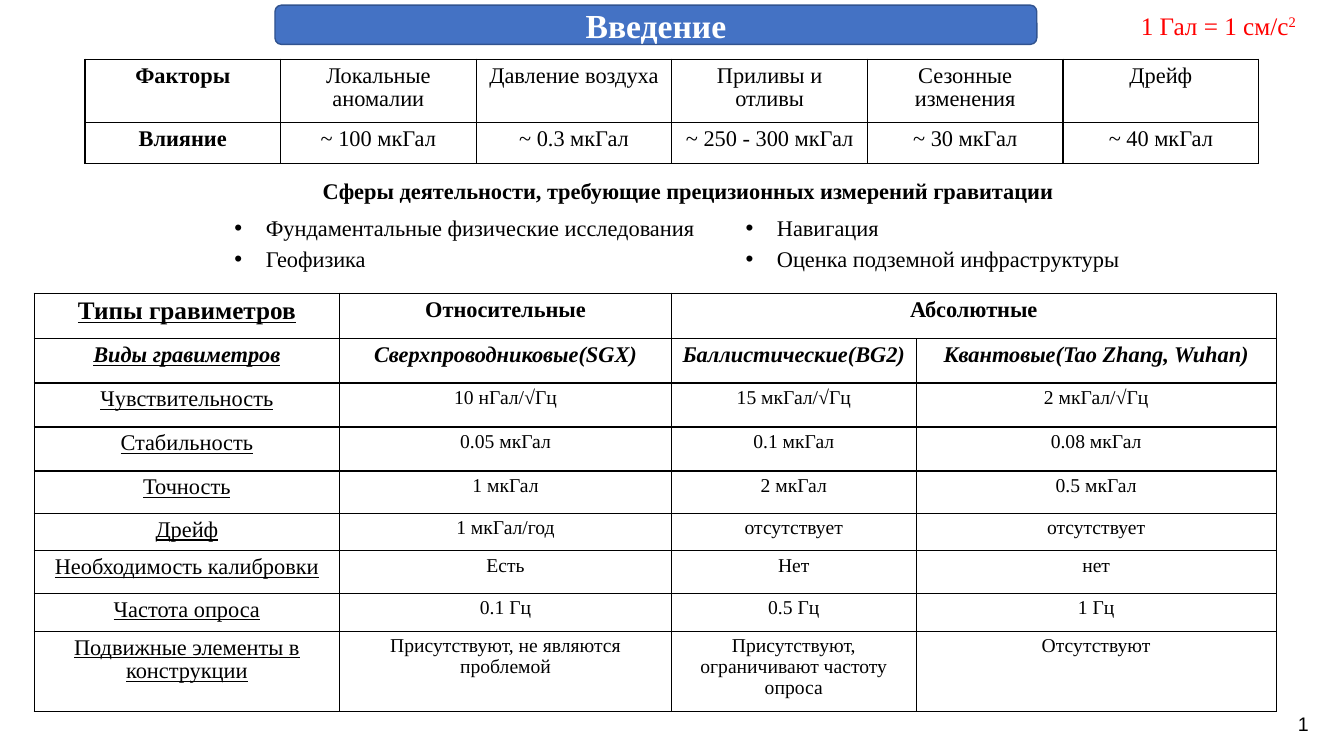
from dataclasses import dataclass

from lxml import etree
from pptx import Presentation
from pptx.dml.color import RGBColor
from pptx.enum.shapes import MSO_SHAPE
from pptx.enum.text import MSO_ANCHOR, PP_ALIGN
from pptx.oxml.ns import qn
from pptx.util import Cm, Pt

ROUND = MSO_SHAPE.ROUNDED_RECTANGLE
MIDDLE = MSO_ANCHOR.MIDDLE
LEFT, CENTER = PP_ALIGN.LEFT, PP_ALIGN.CENTER
SERIF, SANS = "Times New Roman", "Arial"
COLORS = {"ink": "000000", "paper": "FFFFFF", "blue": "4472C4",
          "edge": "31538F", "red": "FF0000"}


@dataclass
class Box:
    left: float
    top: float
    width: float
    height: float

    def place(self) -> tuple:
        return Cm(self.left), Cm(self.top), Cm(self.width), Cm(self.height)


@dataclass
class Style:
    size: int
    bold: bool = False
    italic: bool = False
    under: bool = False
    color: str = "ink"
    face: str = SERIF


@dataclass
class Note:
    box: Box
    lines: list[str]
    style: Style
    align: int = LEFT
    bullet: bool = False
    wrap: bool = True


@dataclass
class Grid:
    box: Box
    cols: list[float]
    rows: list[float]
    cells: list[list[str]]


def shade(name: str) -> RGBColor:
    return RGBColor.from_string(COLORS[name])


def format_run(run, style: Style) -> None:
    font = run.font
    font.name, font.size = style.face, Pt(style.size)
    font.bold, font.italic, font.underline = style.bold, style.italic, style.under
    font.color.rgb = shade(style.color)


def write(par, text: str, style: Style, align: int = LEFT) -> None:
    par.text = text
    par.alignment = align
    for run in par.runs:
        format_run(run, style)


def add_bullet(par) -> None:
    props = par._p.get_or_add_pPr()
    props.set("marL", str(Cm(0.79)))
    props.set("indent", str(-Cm(0.79)))
    etree.SubElement(props, qn("a:buFont")).set("typeface", SANS)
    etree.SubElement(props, qn("a:buChar")).set("char", "•")


def add_note(slide, note: Note):
    frame = slide.shapes.add_textbox(*note.box.place()).text_frame
    frame.word_wrap = note.wrap
    for i, line in enumerate(note.lines):
        par = frame.add_paragraph() if i else frame.paragraphs[0]
        if note.bullet:
            add_bullet(par)
        if i:
            par.space_before = Pt(3)
        write(par, line, note.style, note.align)
    return frame


def add_border(cell) -> None:
    props = cell._tc.get_or_add_tcPr()
    for side in ("L", "R", "T", "B"):
        line = etree.SubElement(props, qn(f"a:ln{side}"), w=str(Pt(1)))
        fill = etree.SubElement(line, qn("a:solidFill"))
        etree.SubElement(fill, qn("a:srgbClr"), val=COLORS["ink"])


def add_grid(slide, grid: Grid, pick):
    table = slide.shapes.add_table(len(grid.rows), len(grid.cols),
                                   *grid.box.place()).table
    table.first_row = table.horz_banding = False
    for col, width in zip(table.columns, grid.cols):
        col.width = Cm(width)
    for row, height in zip(table.rows, grid.rows):
        row.height = Cm(height)
    for r, line in enumerate(grid.cells):
        for c, text in enumerate(line):
            cell = table.cell(r, c)
            add_border(cell)
            cell.fill.solid()
            cell.fill.fore_color.rgb = shade("paper")
            par, style = cell.text_frame.paragraphs[0], pick(r, c)
            head, root, tail = text.partition("√")
            write(par, head, style, CENTER)
            par.line_spacing = 0.95
            for part in filter(None, (root, tail)):
                run = par.add_run()
                run.text = part
                format_run(run, style)
                run.font.bold = part == "√"
    return table


def pick_factor(r: int, c: int) -> Style:
    return Style(16, bold=c == 0)


def pick_type(r: int, c: int) -> Style:
    if r < 2:
        return Style(18 if r == c == 0 else 16, True, r == 1, c == 0)
    return Style(14 if c else 16, under=c == 0)


FACTORS = Grid(Box(2.14, 1.49, 29.58, 2.64), [4.93] * 6, [1.6, 1.04], [
    ["Факторы", "Локальные аномалии", "Давление воздуха", "Приливы и отливы",
     "Сезонные изменения", "Дрейф"],
    ["Влияние", "~ 100 мкГал", "~ 0.3 мкГал", "~ 250 - 300 мкГал",
     "~ 30 мкГал", "~ 40 мкГал"],
])

TYPES = Grid(
    Box(0.86, 7.39, 31.3, 10.54), [7.7, 8.36, 6.17, 9.07],
    [1.15, 1.11, 1.11, 1.11, 1.07, 0.94, 1.07, 0.96, 2.03], [
        ["Типы гравиметров", "Относительные", "Абсолютные", ""],
        ["Виды гравиметров", "Сверхпроводниковые(SGX)", "Баллистические(BG2)",
         "Квантовые(Tao Zhang, Wuhan)"],
        ["Чувствительность", "10 нГал/√Гц", "15 мкГал/√Гц", "2 мкГал/√Гц"],
        ["Стабильность", "0.05 мкГал", "0.1 мкГал", "0.08 мкГал"],
        ["Точность", "1 мкГал", "2 мкГал", "0.5 мкГал"],
        ["Дрейф", "1 мкГал/год", "отсутствует", "отсутствует"],
        ["Необходимость калибровки", "Есть", "Нет", "нет"],
        ["Частота опроса", "0.1 Гц", "0.5 Гц", "1 Гц"],
        ["Подвижные элементы в конструкции", "Присутствуют, не являются проблемой",
         "Присутствуют, ограничивают частоту опроса", "Отсутствуют"],
    ])

UNIT = Note(Box(28.5, 0.13, 4.5, 1.02), ["1 Гал = 1 см/c"],
            Style(18, color="red"), wrap=False)
NOTES = [
    Note(Box(6.38, 4.34, 21.92, 0.94),
         ["Сферы деятельности, требующие прецизионных измерений гравитации"],
         Style(16, bold=True), CENTER),
    Note(Box(5.66, 5.28, 12.6, 1.83),
         ["Фундаментальные физические исследования", "Геофизика"],
         Style(16), bullet=True),
    Note(Box(18.54, 5.28, 10.31, 1.83),
         ["Навигация", "Оценка подземной инфраструктуры"],
         Style(16), bullet=True),
    Note(Box(32.46, 17.81, 0.99, 0.86), ["1"], Style(14, face=SANS)),
]


def main() -> None:
    deck = Presentation()
    deck.slide_width, deck.slide_height = Cm(33.87), Cm(19.05)
    slide = deck.slides.add_slide(deck.slide_layouts[5])

    # Title on its banner
    box = Box(6.93, 0.13, 19.2, 0.99)
    banner = slide.shapes.add_shape(ROUND, *box.place())
    banner.shadow.inherit = False
    banner.fill.solid()
    banner.fill.fore_color.rgb = shade("blue")
    banner.line.color.rgb = shade("edge")
    banner.line.width = Pt(1)
    title = slide.shapes.title
    title.left, title.top, title.width, title.height = box.place()
    frame = title.text_frame
    frame.vertical_anchor = MIDDLE
    frame.margin_top = frame.margin_bottom = 0
    write(frame.paragraphs[0], "Введение", Style(24, bold=True, color="paper"), CENTER)
    slide.shapes._spTree.append(title._element)

    # Unit with its raised power
    power = add_note(slide, UNIT).paragraphs[0].add_run()
    power.text = "2"
    format_run(power, UNIT.style)
    power.font._element.set("baseline", "30000")

    # Tables
    add_grid(slide, FACTORS, pick_factor)
    table = add_grid(slide, TYPES, pick_type)
    table.cell(0, 2).merge(table.cell(0, 3))

    # Fields of use and page number
    for note in NOTES:
        add_note(slide, note)

    deck.save("out.pptx")


if __name__ == "__main__":
    main()
